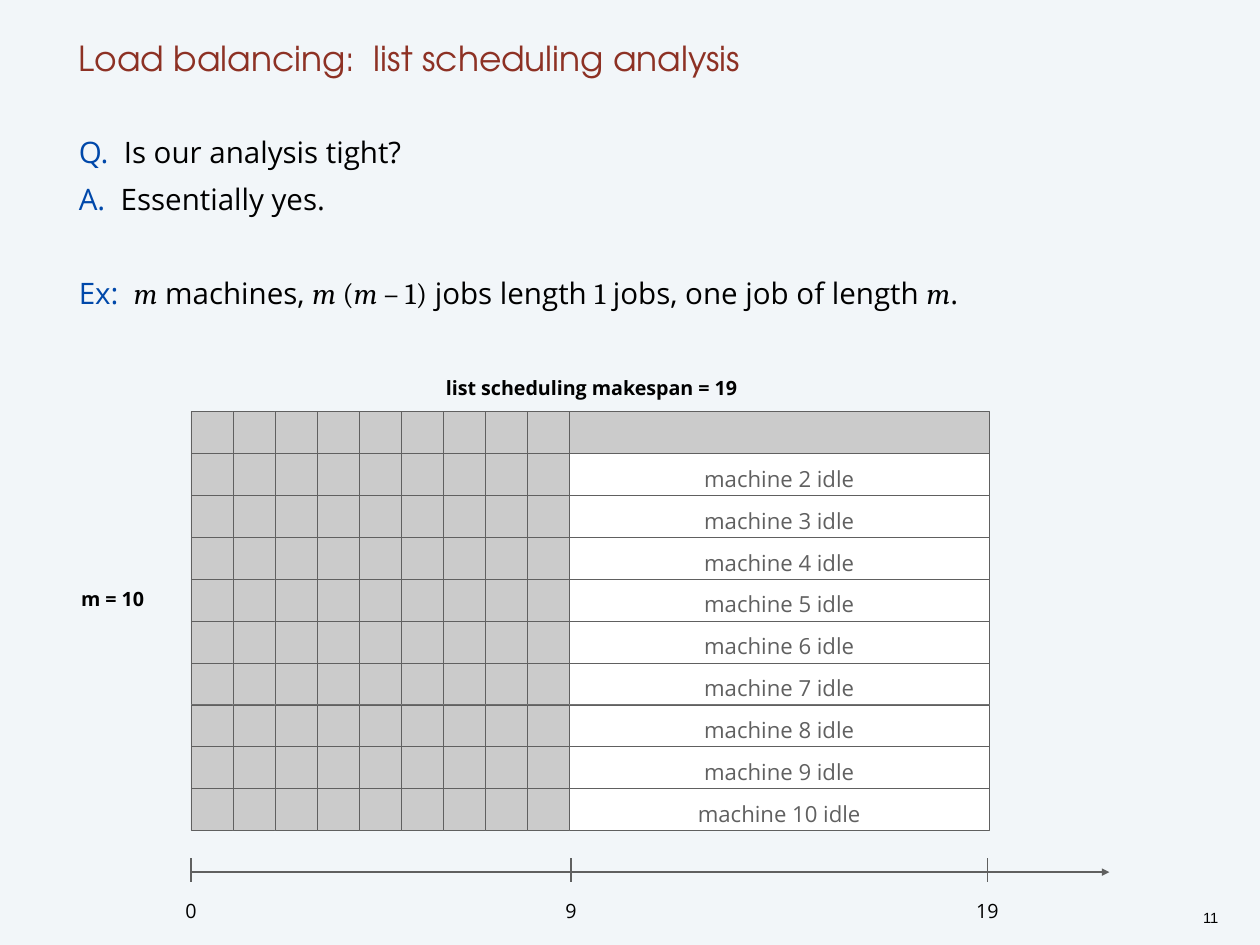
"""Build the slide on the tightness of the list scheduling analysis."""
from lxml.etree import SubElement
from pptx import Presentation
from pptx.dml.color import RGBColor
from pptx.enum.shapes import MSO_CONNECTOR, MSO_SHAPE
from pptx.enum.text import MSO_ANCHOR, MSO_AUTO_SIZE, PP_ALIGN
from pptx.oxml.ns import qn
from pptx.util import Pt

TITLE = "Load balancing:  list scheduling analysis"
BODY = [
    [("Q.  ", "lead"), ("Is our analysis tight?", "text")],
    [("A.  ", "lead"), ("Essentially yes.", "text")],
    [("Ex:  ", "lead"), ("m", "var"), (" machines, ", "text"), ("m ", "var"),
     ("(", "math"), ("m ", "var"), ("– 1)", "math"), (" jobs length ", "text"),
     ("1", "math"), (" jobs, one job of length ", "text"), ("m", "var"),
     (".", "text")],
]
MACHINES, SHORT_JOBS, MAKESPAN = 10, 9, 19
CAPTIONS = [("m = 10", 55, 589, 119), ("list scheduling makespan = 19", 428, 375, 346)]
TICKS = [("0", 194), ("9", 580), ("19", 1003)]
PAGE = "11"

COLORS = {"background": "F2F6F9", "title": "8D3124", "lead": "0048AA",
          "black": "000000", "line": "606060", "busy": "CBCBCB", "idle": "FFFFFF"}
SANS, SERIF = "Open Sans", "Cambria"
STYLES = {"lead": (SANS, "lead", False), "text": (SANS, "black", False),
          "var": (SERIF, "black", True), "math": (SERIF, "black", False)}

SCALE = 10160
GRID_X, GRID_Y, GRID_W, GRID_H = 194, 418, 811, 426
AXIS_Y, AXIS_END, TICK_TOP, TICK_BOTTOM = 886, 1127, 872, 896
TICK_LABEL_Y, TICK_LABEL_W = 906, 68


def px(*lengths):
    return [round(n * SCALE) for n in lengths]


def rgb(name):
    return RGBColor.from_string(COLORS[name])


def style(r, size, font=SANS, color="black", bold=False, italic=False):
    r.font.size, r.font.name = Pt(size), font
    r.font.bold, r.font.italic = bold, italic
    r.font.color.rgb = rgb(color)


def frame(sp, anchor=MSO_ANCHOR.TOP, inset=0, wrap=True):
    tf = sp.text_frame
    tf.margin_left = tf.margin_top = tf.margin_right = tf.margin_bottom = px(inset)[0]
    tf.vertical_anchor, tf.word_wrap = anchor, wrap
    tf.auto_size = MSO_AUTO_SIZE.NONE
    return tf


def write(tf, text, size, spacing=1.3, align=PP_ALIGN.CENTER, **look):
    tf.text = text
    p = tf.paragraphs[0]
    p.alignment, p.line_spacing = align, spacing
    style(p.runs[0], size, **look)


def place(sp, *box):
    sp.left, sp.top, sp.width, sp.height = px(*box)


def add_label(s, text, x, y, w, **look):
    sp = s.shapes.add_textbox(*px(x, y, w, 22))
    write(frame(sp), text, 16, **look)


def add_job(s, start, length, machine, fill):
    col, row = GRID_W / MAKESPAN, GRID_H / MACHINES
    sp = s.shapes.add_shape(MSO_SHAPE.RECTANGLE, *px(
        GRID_X + start * col, GRID_Y + (machine - 1) * row, length * col, row))
    sp.shadow.inherit = False
    sp.fill.solid()
    sp.fill.fore_color.rgb = rgb(fill)
    sp.line.color.rgb = rgb("line")
    sp.line.width = Pt(0.75)
    return sp


def add_line(s, x1, y1, x2, y2, width, arrow=False):
    c = s.shapes.add_connector(MSO_CONNECTOR.STRAIGHT, *px(x1, y1, x2, y2))
    c.line.color.rgb = rgb("line")
    c.line.width = Pt(width)
    if arrow:
        SubElement(c.line._get_or_add_ln(), qn("a:tailEnd"), type="triangle")
    SubElement(c._element.spPr, qn("a:effectLst"))


def add_text(s):
    title, body = s.placeholders
    place(title, 80, 0, 1120, 80)
    write(frame(title, MSO_ANCHOR.BOTTOM), TITLE, 28, Pt(38), PP_ALIGN.LEFT,
          font="TeX Gyre Adventor", color="title")
    place(body, 80, 125, 1120, 805)
    tf = frame(body)
    for i, runs in enumerate(BODY):
        p = tf.add_paragraph() if i else tf.paragraphs[0]
        p.line_spacing = Pt(38)
        p.space_before = Pt(38 if i == 2 else 0)
        pPr = p._p.get_or_add_pPr()
        pPr.set("marL", "0")
        pPr.set("indent", "0")
        SubElement(pPr, qn("a:buNone"))
        for text, kind in runs:
            r = p.add_run()
            r.text = text
            font, color, italic = STYLES[kind]
            style(r, 24, font, color, italic=italic)


def add_schedule(s):
    for machine in range(1, MACHINES + 1):
        for start in range(SHORT_JOBS):
            add_job(s, start, 1, machine, "busy")
        rest = add_job(s, SHORT_JOBS, MAKESPAN - SHORT_JOBS, machine,
                       "busy" if machine == 1 else "idle")
        if machine > 1:
            write(frame(rest, MSO_ANCHOR.MIDDLE), f"machine {machine} idle", 18,
                  color="line")
    for text, x, y, w in CAPTIONS:
        add_label(s, text, x, y, w, bold=True)


def add_axis(s):
    add_line(s, GRID_X, AXIS_Y, AXIS_END, AXIS_Y, 2, arrow=True)
    for text, x in TICKS:
        add_line(s, x, TICK_TOP, x, TICK_BOTTOM, 1.25)
        add_label(s, text, x - TICK_LABEL_W / 2, TICK_LABEL_Y, TICK_LABEL_W)


def main():
    prs = Presentation()
    prs.slide_width, prs.slide_height = px(1280, 960)
    s = prs.slides.add_slide(prs.slide_layouts[1])
    s.background.fill.solid()
    s.background.fill.fore_color.rgb = rgb("background")
    add_text(s)
    add_schedule(s)
    add_axis(s)
    page = s.shapes.add_textbox(*px(1216, 920, 28, 22))
    write(frame(page, inset=4, wrap=False), PAGE, 12, Pt(14), font="Arial")
    prs.save("out.pptx")


if __name__ == "__main__":
    main()
